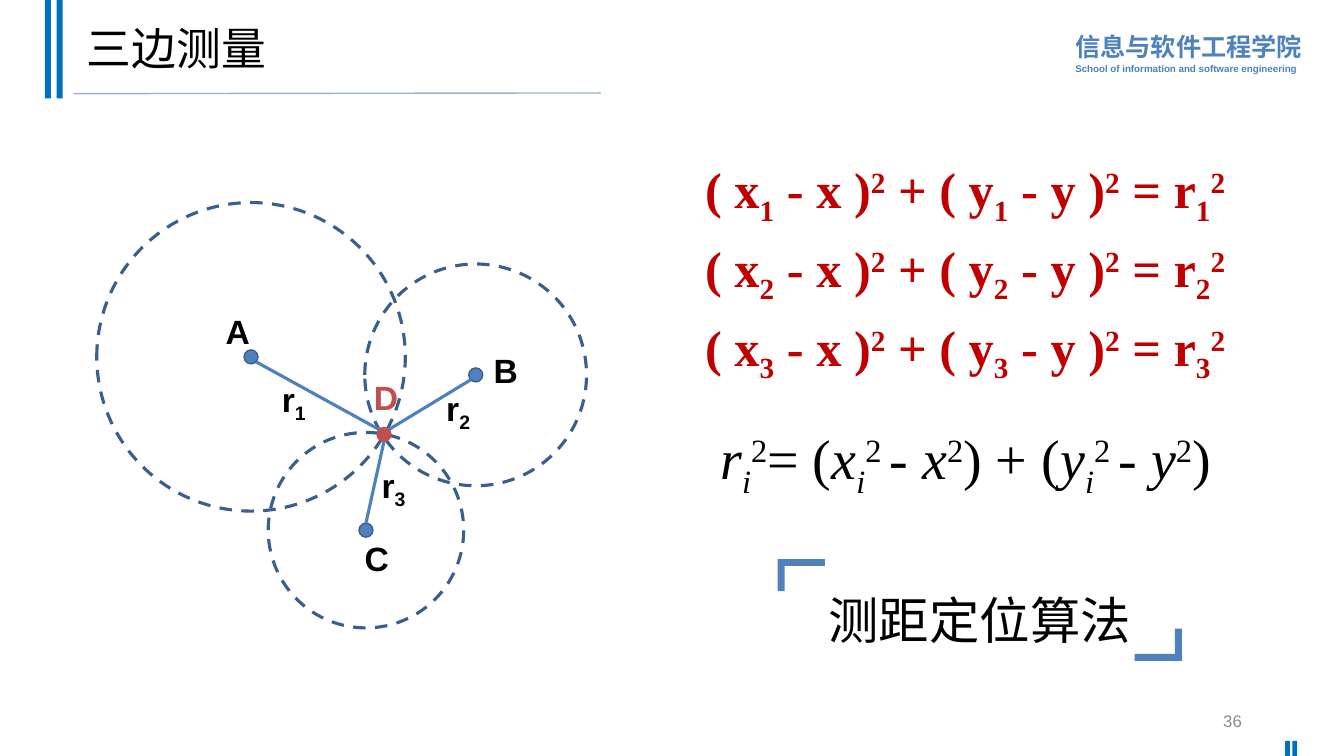
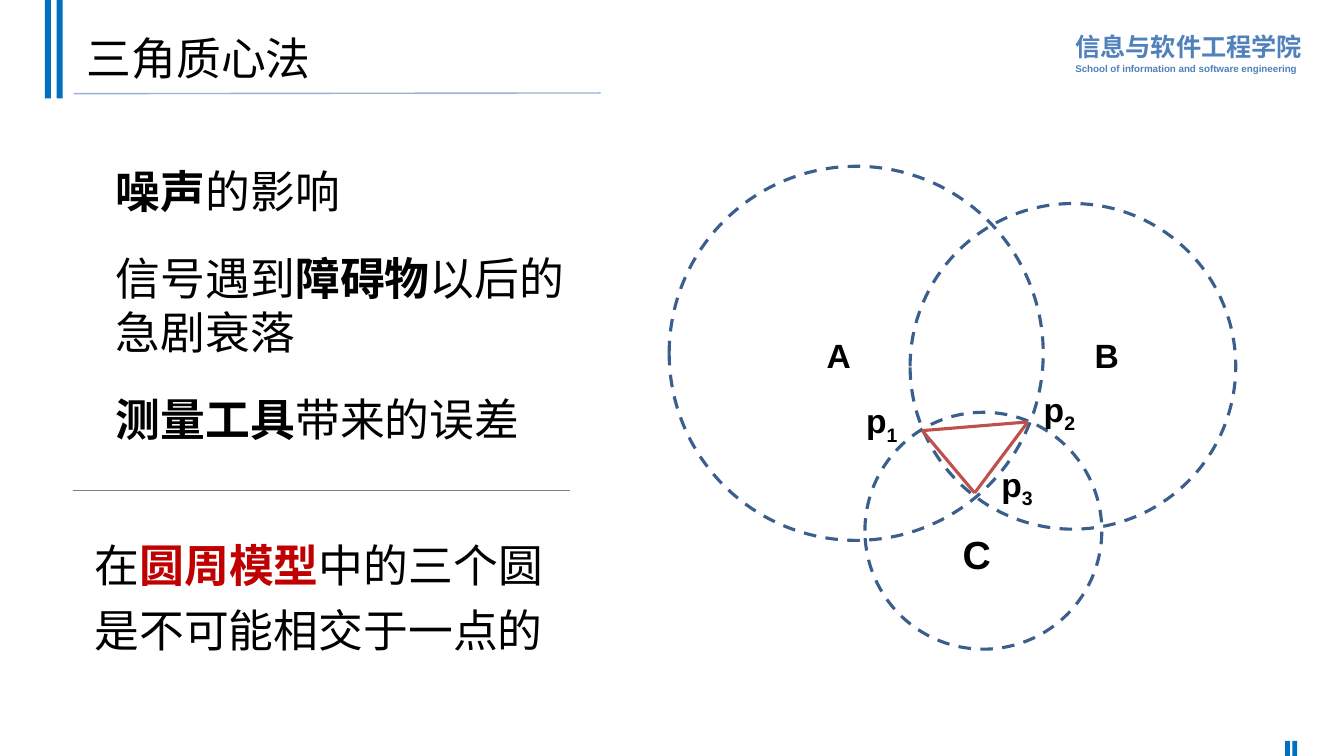
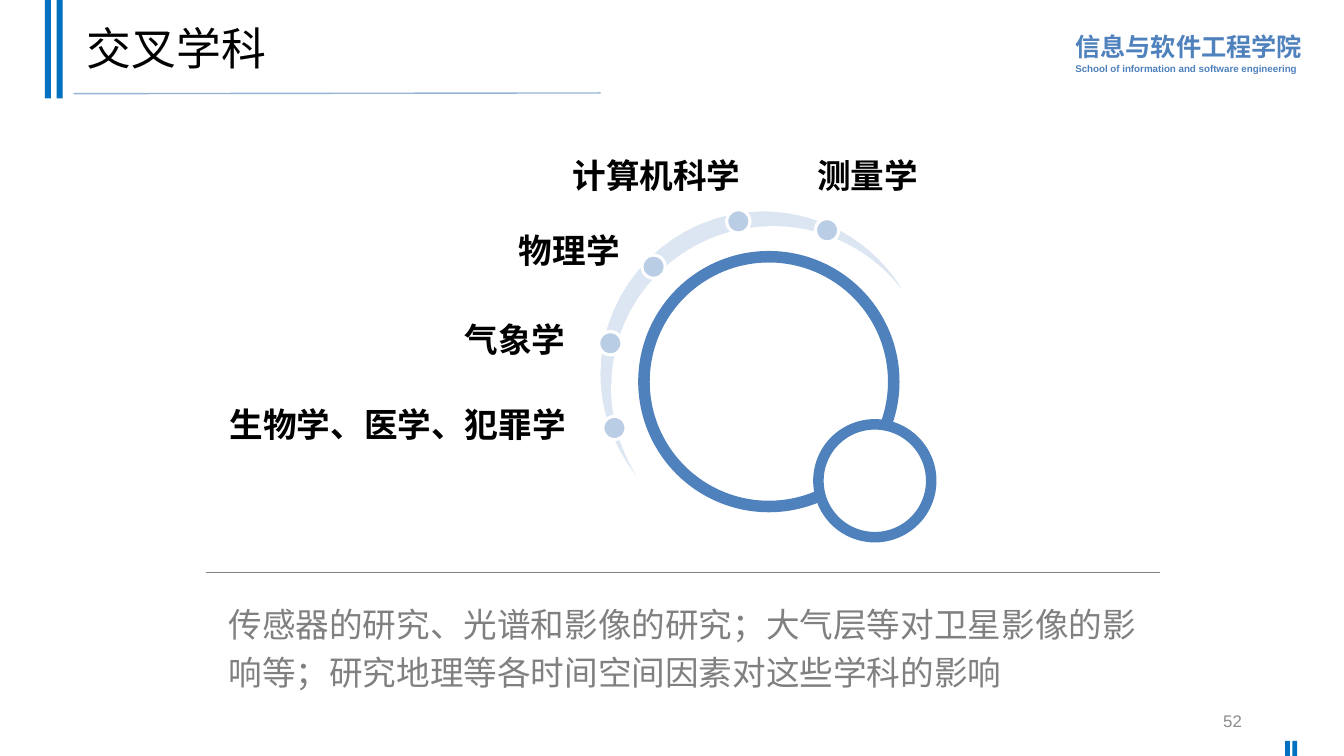
from lxml.etree import SubElement
from pptx import Presentation
from pptx.dml.color import RGBColor
from pptx.enum.dml import MSO_LINE
from pptx.enum.shapes import MSO_CONNECTOR, MSO_SHAPE
from pptx.enum.text import MSO_ANCHOR, MSO_AUTO_SIZE, PP_ALIGN
from pptx.oxml.ns import qn
from pptx.util import Pt

COLOURS = {
    "ink": "000000", "white": "FFFFFF", "grey": "808080", "number": "8C8C8C",
    "band": "0070C0", "rule": "95B3D7", "blue": "4F81BD", "navy": "3A5F8C",
    "red": "C00000", "brick": "C0504D", "arc": "DCE6F2", "bead": "B9CDE5",
}
COLOURS = {name: RGBColor.from_string(value) for name, value in COLOURS.items()}
CJK = "Noto Sans CJK SC"
SERIF = "Times New Roman"
LEFT, CENTER, RIGHT = PP_ALIGN.LEFT, PP_ALIGN.CENTER, PP_ALIGN.RIGHT


def write(box, lines, size, colour="ink", face="Arial", bold=False, align=LEFT,
          spacing=1.0, before=0, anchor=MSO_ANCHOR.TOP, wrap=True):
    """Fill a box; a line is a string or (text, marks) pairs: b bold, i italic, _ sub, ^ super."""
    frame = box.text_frame
    frame.word_wrap = wrap
    frame.auto_size = MSO_AUTO_SIZE.NONE
    frame.vertical_anchor = anchor
    for index, line in enumerate(lines):
        para = frame.add_paragraph() if index else frame.paragraphs[0]
        if box.is_placeholder:
            properties = para._p.get_or_add_pPr()
            properties.set("marL", "0")
            properties.set("indent", "0")
            SubElement(properties, qn("a:buNone"))
        para.alignment = align
        para.line_spacing = spacing
        para.space_before = Pt(before if index else 0)
        for text, marks in [(line, "")] if isinstance(line, str) else line:
            span = para.add_run()
            span.text = text
            span.font.size = Pt(size)
            span.font.name = face
            span.font.bold = bold or "b" in marks
            span.font.italic = "i" in marks
            span.font.color.rgb = COLOURS[colour]
            properties = span._r.get_or_add_rPr()
            SubElement(properties, qn("a:ea")).set("typeface", CJK)
            if "_" in marks:
                properties.set("baseline", "-25000")
            if "^" in marks:
                properties.set("baseline", "30000")


def draw(page, kind, left, top, width, height, fill=None, line=None, weight=1):
    """Add a preset shape, with or without fill and outline."""
    shape = page.shapes.add_shape(kind, Pt(left), Pt(top), Pt(width), Pt(height))
    shape.shadow.inherit = False
    if fill:
        shape.fill.solid()
        shape.fill.fore_color.rgb = COLOURS[fill]
    else:
        shape.fill.background()
    if line:
        shape.line.color.rgb = COLOURS[line]
        shape.line.width = Pt(weight)
    else:
        shape.line.fill.background()
    return shape


deck = Presentation()
deck.slide_width, deck.slide_height = Pt(960), Pt(540)

# Titles and slide numbers
pages = []
for title, title_top, layout, number in [
    ("三边测量", 5, 1, "36"), ("三角质心法", 12.2, 1, None), ("交叉学科", 5, 5, "52"),
]:
    page = deck.slides.add_slide(deck.slide_layouts[layout])
    pages.append(page)
    box = page.shapes.title
    box.left, box.top, box.width, box.height = map(Pt, (54.7, title_top, 828, 63.4))
    write(box, [title], 32, spacing=0.9, anchor=MSO_ANCHOR.MIDDLE)
    if number:
        box = page.shapes.add_textbox(*map(Pt, (678.2, 500.4, 216, 28.8)))
        write(box, [number], 12, "number", align=RIGHT, anchor=MSO_ANCHOR.MIDDLE)
ranging, centroid, subjects = pages

# Shared decoration, moved to the master
school = ranging.shapes.add_textbox(*map(Pt, (761, 16.6, 176.4, 40.3)))
write(school, ["信息与软件工程学院", "School of information and software engineering"],
      18, "blue", bold=True, spacing=1.1)
school.text_frame.paragraphs[1].runs[0].font.size = Pt(7)
decoration = [school]
for left, top, width, height in [
    (32, 0, 4.3, 70.4), (40.5, 0, 4.3, 70.4), (918, 529.2, 3.4, 10.8), (923.2, 529.2, 3.4, 10.8),
]:
    decoration.append(draw(ranging, MSO_SHAPE.RECTANGLE, left, top, width, height, "band"))
title_rule = ranging.shapes.add_connector(MSO_CONNECTOR.STRAIGHT, *map(Pt, (52.6, 66.9, 429, 66.4)))
decoration.append(title_rule)
for index, shape in enumerate(decoration):
    shape.element.xpath(".//p:cNvPr")[0].set("id", str(100 + index))
    deck.slide_master.shapes.element.append(shape.element)

# Every straight line: page, from, to, colour, weight
lines = [
    (centroid, (51.8, 350.6), (406.8, 350.6), "grey", 0.5),
    (subjects, (146.9, 409), (828.7, 409), "grey", 0.5),
]

# Range circles on both diagrams: centre and radius
ranging_circles = [(179.3, 254.9, 110.2), (339.8, 267.8, 79.2), (261.4, 378.7, 69.8)]
centroid_circles = [(611.6, 252.4, 133.6), (766.4, 261.7, 116.3), (702.4, 379.1, 84.6)]
for page, circles in [(ranging, ranging_circles), (centroid, centroid_circles)]:
    for x, y, radius in circles:
        circle = draw(page, MSO_SHAPE.OVAL, x - radius, y - radius, 2 * radius, 2 * radius,
                      line="navy", weight=2.25)
        circle.line.dash_style = MSO_LINE.DASH

# Slide 1: anchors and the located point
dot = 5
target_x, target_y = 274.3, 310.3
draw(ranging, MSO_SHAPE.OVAL, target_x - dot, target_y - dot, 2 * dot, 2 * dot, "brick", "brick")
for (x, y, _), (dx, dy) in zip(ranging_circles, [(3.5, 3.5), (-3.5, 3.5), (0, -5)]):
    draw(ranging, MSO_SHAPE.OVAL, x - dot, y - dot, 2 * dot, 2 * dot, "blue", "navy")
    lines.append((ranging, (x + dx, y + dy), (target_x - dx, target_y - dy), "blue", 2.25))

# Slide 2: error triangle
corners = [(658.8, 307.6), (734.2, 301.4), (696.2, 352.1)]
for start, end in zip(corners, corners[1:] + corners[:1]):
    lines.append((centroid, start, end, "brick", 2.25))

for index, (page, start, end, colour, weight) in enumerate(lines):
    connector = page.shapes.add_connector(MSO_CONNECTOR.STRAIGHT, *map(Pt, start + end))
    lines[index] = (connector, colour, weight)
for connector, colour, weight in lines + [(title_rule, "rule", 1)]:
    connector.line.color.rgb = COLOURS[colour]
    connector.line.width = Pt(weight)
    SubElement(connector.element.spPr, qn("a:effectLst"))

# Diagram labels: a second character is a subscript
for page, text, left, top, width, size, colour in [
    (ranging, "A", 154.1, 218.2, 28.8, 24, "ink"),
    (ranging, "B", 345.6, 246.2, 28.8, 24, "ink"),
    (ranging, "C", 253.4, 380.9, 28.8, 24, "ink"),
    (ranging, "D", 260, 265.7, 28.8, 24, "brick"),
    (ranging, "r1", 191.5, 267.1, 36.7, 24, "ink"),
    (ranging, "r2", 308.9, 273.6, 36.7, 24, "ink"),
    (ranging, "r3", 262.8, 328.3, 36.7, 24, "ink"),
    (centroid, "A", 581.8, 235.4, 34.6, 24, "ink"),
    (centroid, "B", 773.3, 235.4, 34.6, 24, "ink"),
    (centroid, "C", 680.4, 375.1, 34.6, 28, "ink"),
    (centroid, "p1", 606.2, 282.2, 47.5, 24, "ink"),
    (centroid, "p2", 733, 274.3, 47.5, 24, "ink"),
    (centroid, "p3", 702.7, 327.6, 47.5, 24, "ink"),
]:
    box = page.shapes.add_textbox(Pt(left), Pt(top), Pt(width), Pt(36))
    pieces = [(text[0], "")] + [(digit, "_") for digit in text[1:]]
    write(box, [pieces], size, colour, bold=True, align=CENTER)

# Slide 1: equations
equations = [
    [("( x", ""), (n, "_"), (" - x )", ""), ("2", "^"), (" + ( y", ""), (n, "_"),
     (" - y )", ""), ("2", "^"), (" = r", ""), (n, "_"), ("2", "^")]
    for n in "123"
]
box = ranging.shapes.add_textbox(*map(Pt, (450, 109.4, 478.8, 162.7)))
write(box, equations, 36, "red", SERIF, bold=True, align=CENTER, before=7.2)

general = [("r", "i"), ("i", "i_"), ("2", "^"), ("= (", "")]
for axis, closing in [("x", ") + ("), ("y", ")")]:
    general += [(axis, "i"), ("i", "i_"), ("2 ", "^"), ("- ", ""),
                (axis, "i"), ("2", "^"), (closing, "")]
box = ranging.shapes.add_textbox(*map(Pt, (480.2, 298.8, 419, 55.4)))
write(box, [general], 40, face=SERIF, align=CENTER)

# Slide 1: caption and its corner brackets
box = ranging.placeholders[1]
box.left, box.top, box.width, box.height = map(Pt, (555.8, 403.9, 288, 64.1))
write(box, ["测距定位算法"], 36, align=CENTER, spacing=1.3, anchor=MSO_ANCHOR.MIDDLE)
bracket = [(0, 0), (33.8, 0), (33.8, 5), (5, 5), (5, 23), (0, 23)]
outlines = [
    (ranging, [(x + sign * dx, y + sign * dy) for dx, dy in bracket], "blue", None)
    for x, y, sign in [(555.5, 399.3, 1), (844.2, 472, -1)]
]

# Slide 2: causes and conclusion
box = centroid.placeholders[1]
box.left, box.top, box.width, box.height = map(Pt, (75.6, 113, 340.6, 204.5))
write(box, [
    [("噪声", "b"), ("的影响", "")],
    [("信号遇到", ""), ("障碍物", "b"), ("以后的急剧衰落", "")],
    [("测量工具", "b"), ("带来的误差", "")],
], 32, face=CJK, before=24)
box = centroid.shapes.add_textbox(*map(Pt, (60.5, 373, 360, 96.5)))
write(box, [[("在", ""), ("圆周模型", "b"), ("中的三个圆是不可能相交于一点的", "")]],
      32, face=CJK, spacing=1.2)
box.text_frame.paragraphs[0].runs[1].font.color.rgb = COLOURS["red"]

# Slide 3: tapered arc, sampled from Bezier curves (two controls and an end)
start = (545, 150.5)
curves = [
    ((591.8, 150.5), (632.2, 177.8), (650.9, 217.4)),
    ((630.7, 184.3), (594, 162), (552.2, 162)),
    ((488.2, 162), (437, 213.1), (437, 277.2)),
    ((437, 303.8), (446.4, 329), (461.5, 348.5)),
    ((441.4, 327.6), (428.4, 298.8), (428.4, 267.1)),
    ((428.4, 203), (481, 150.5), start),
]
arc, steps = [start], 16
for curve in curves:
    origin = arc[-1]
    for step in range(1, steps + 1):
        t = step / steps
        weights = [(1 - t) ** 3, 3 * t * (1 - t) ** 2, 3 * t ** 2 * (1 - t), t ** 3]
        arc.append(tuple(
            sum(weight * point[axis] for weight, point in zip(weights, (origin, *curve)))
            for axis in (0, 1)))
outlines.append((subjects, arc, "arc", "white"))

# Free outlines: brackets and arc
for page, points, fill, line in outlines:
    points = [(Pt(x), Pt(y)) for x, y in points]
    builder = page.shapes.build_freeform(*points[0])
    builder.add_line_segments(points[1:], close=True)
    shape = builder.convert_to_shape()
    shape.shadow.inherit = False
    shape.fill.solid()
    shape.fill.fore_color.rgb = COLOURS[fill]
    if line:
        shape.line.color.rgb = COLOURS[line]
        shape.line.width = Pt(1)
    else:
        shape.line.fill.background()

# Slide 3: rings and beads
for left, top, size, weight in [(460, 183.4, 178.4, 8.25), (584.6, 303.1, 80.6, 7.5)]:
    ring = draw(subjects, MSO_SHAPE.ROUNDED_RECTANGLE, left, top, size, size, "white", "blue", weight)
    ring.adjustments[0] = 0.5
for left, top in [(519.1, 149.8), (458.6, 182.2), (427.7, 236.9), (430.6, 297.4), (582.5, 156.2)]:
    draw(subjects, MSO_SHAPE.OVAL, left, top, 16.6, 16.6, "bead", "white", 2.25)

# Slide 3: subject names and summary
for name, left, top in [
    ("测量学", 576.7, 107.3), ("计算机科学", 401.8, 107.3), ("物理学", 363.6, 160.6),
    ("气象学", 324.7, 223.9), ("生物学、医学、犯罪学", 157, 285.1),
]:
    box = subjects.shapes.add_textbox(Pt(left), Pt(top), Pt(24 * len(name) + 15), Pt(36))
    write(box, [name], 24, face=CJK, bold=True, wrap=False)
box = subjects.shapes.add_textbox(*map(Pt, (156.2, 421.9, 663.1, 74.2)))
write(box, ["传感器的研究、光谱和影像的研究；大气层等对卫星影像的影响等；研究地理等各时间空间因素对这些学科的影响"],
      24, "grey", CJK, spacing=1.2)

deck.save("out.pptx")
